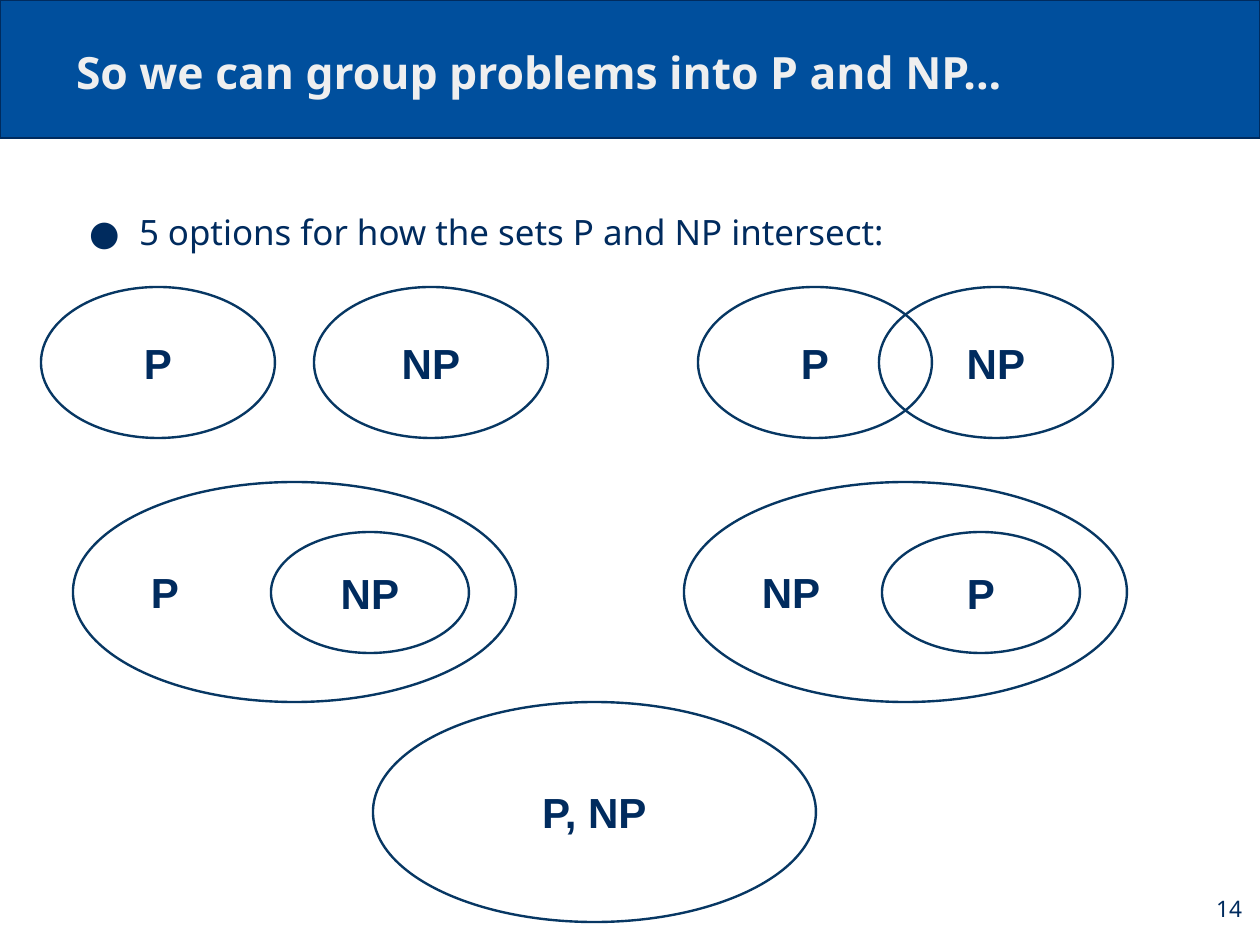
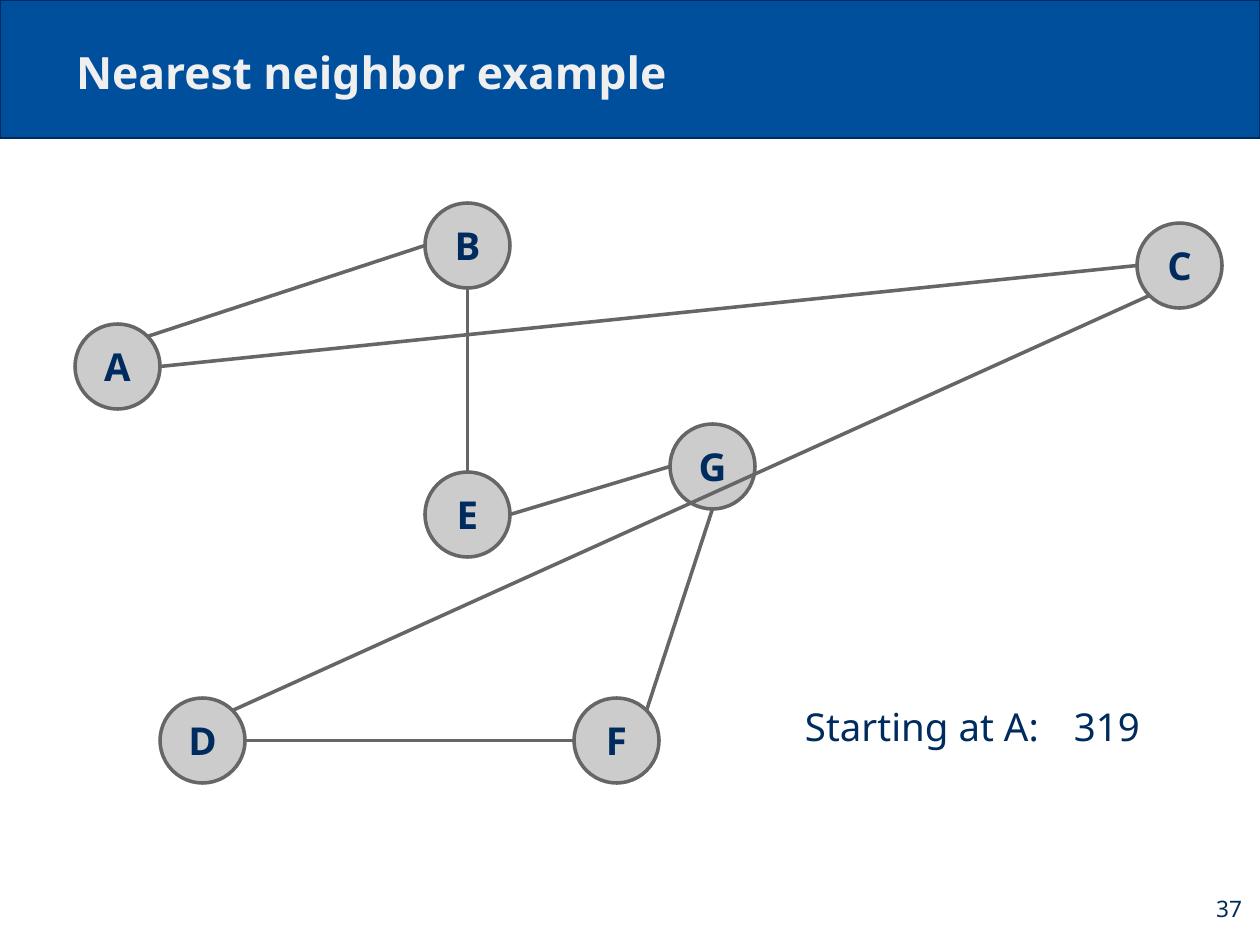
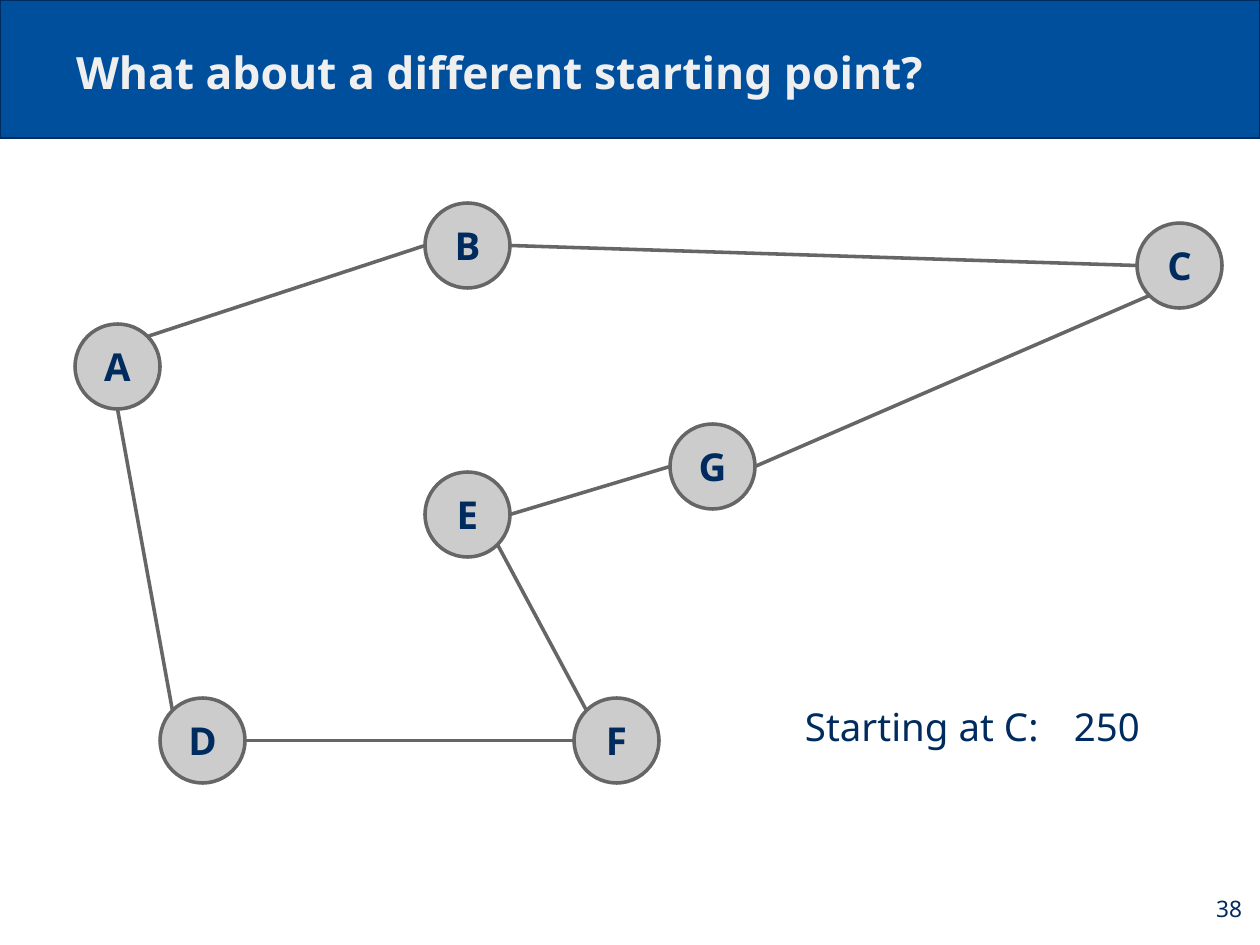
import math

import lxml.etree
import pptx
import pptx.dml.color
import pptx.enum.shapes
import pptx.enum.text
import pptx.oxml.ns
import pptx.util

EMU_PER_PX = 8000
SLIDE_WIDTH, SLIDE_HEIGHT = 1260, 945
INSET = 13

BAND_BLUE = "004F9D"
NAVY = "002B5E"
SET_OUTLINE = "073763"
TITLE_GREY = "EFEFEF"
NODE_FILL = "CCCCCC"
NODE_LINE = "666666"
SANS, SET_FONT = "Noto Sans", "Arial"

ALIGN = pptx.enum.text.PP_ALIGN
ANCHOR = pptx.enum.text.MSO_ANCHOR
SHAPE = pptx.enum.shapes.MSO_SHAPE

TITLE_LAYOUT, BODY_LAYOUT = 5, 1

NODE_SIZE = 85
NODES = {
    "A": (75, 324), "B": (425, 203), "C": (1137, 223), "G": (670, 424),
    "E": (425, 472), "F": (574, 698), "D": (160, 698),
}
COMPASS = ["E", "SE", "S", "SW", "W", "NW", "N", "NE"]

# Each edge: node and side where it starts, node and side where it ends.
TOUR_FROM_A = [
    ("A", "NE", "B", "W"), ("B", "S", "E", "N"), ("E", "E", "G", "W"),
    ("G", "S", "F", "NE"), ("F", "W", "D", "E"), ("D", "NE", "C", "SW"),
    ("C", "W", "A", "E"),
]
TOUR_FROM_C = [
    ("C", "SW", "G", "E"), ("G", "W", "E", "E"), ("E", "SE", "F", "NW"),
    ("F", "W", "D", "E"), ("D", "NW", "A", "S"), ("A", "NE", "B", "W"),
    ("B", "E", "C", "W"),
]


def px(length):
    return pptx.util.Emu(round(length * EMU_PER_PX))


def color(hex_string):
    return pptx.dml.color.RGBColor.from_string(hex_string)


def place(shape, left, top, width, height):
    shape.left, shape.top = px(left), px(top)
    shape.width, shape.height = px(width), px(height)


def set_text(shape, text, size, font=SANS, hex_color=NAVY, bold=False,
             align=ALIGN.LEFT, anchor=ANCHOR.MIDDLE):
    """Write one formatted run and return its paragraph."""
    frame = shape.text_frame
    frame.word_wrap = True
    frame.auto_size = pptx.enum.text.MSO_AUTO_SIZE.NONE
    frame.vertical_anchor = anchor
    frame.margin_left = frame.margin_right = px(INSET)
    frame.margin_top = frame.margin_bottom = px(INSET)
    paragraph = frame.paragraphs[0]
    paragraph.alignment = align
    run = paragraph.add_run()
    run.text = text
    run.font.name = font
    run.font.size = pptx.util.Pt(size)
    run.font.bold = bold
    run.font.color.rgb = color(hex_color)
    return paragraph


def add_text_box(slide, box, text, size, align=ALIGN.LEFT):
    shape = slide.shapes.add_textbox(*map(px, box))
    set_text(shape, text, size, align=align)


def add_outlined_shape(slide, kind, box, line, line_width, fill=None):
    shape = slide.shapes.add_shape(kind, *map(px, box))
    shape.shadow.inherit = False
    if fill:
        shape.fill.solid()
        shape.fill.fore_color.rgb = color(fill)
    else:
        shape.fill.background()
    shape.line.color.rgb = color(line)
    shape.line.width = pptx.util.Pt(line_width)
    return shape


def add_band_to_master(presentation, slide):
    """Draw the title band and move it behind the master's placeholders."""
    band = add_outlined_shape(slide, SHAPE.RECTANGLE, (0, 0, SLIDE_WIDTH, 138),
                              NAVY, 1.5, BAND_BLUE)
    band.element.nvSpPr.cNvPr.set("id", "20")
    presentation.slide_master.element.cSld.spTree.insert(2, band.element)


def add_titled_slide(presentation, layout, title, number):
    slide = presentation.slides.add_slide(presentation.slide_layouts[layout])
    place(slide.shapes.title, 63, 27, 1134, 84)
    set_text(slide.shapes.title, title, 28, hex_color=TITLE_GREY, bold=True,
             anchor=ANCHOR.BOTTOM)
    add_text_box(slide, (1180, 872, 75, 72), number, 14.3, ALIGN.RIGHT)
    return slide


def add_bullet(paragraph, character, hex_color):
    properties = paragraph._p.get_or_add_pPr()
    properties.set("marL", str(px(63)))
    properties.set("indent", str(px(-50)))
    qn = pptx.oxml.ns.qn
    bullet_color = lxml.etree.SubElement(properties, qn("a:buClr"))
    lxml.etree.SubElement(bullet_color, qn("a:srgbClr"), val=hex_color)
    lxml.etree.SubElement(properties, qn("a:buFont"), typeface=SANS)
    lxml.etree.SubElement(properties, qn("a:buChar"), char=character)


def fill_body(slide, text):
    body = slide.placeholders[1]
    place(body, 63, 177, 1134, 89)
    paragraph = set_text(body, text, 22, anchor=ANCHOR.TOP)
    paragraph.line_spacing = 1.5
    paragraph.space_before = pptx.util.Pt(6.6)
    add_bullet(paragraph, "●", NAVY)


def add_set(slide, box, label, align=ALIGN.CENTER):
    ellipse = add_outlined_shape(slide, SHAPE.OVAL, box, SET_OUTLINE, 1.5)
    set_text(ellipse, label, 26.5, SET_FONT, bold=True, align=align)


def add_set_pair(slide, first_left, second_left):
    for left, label in ((first_left, "P"), (second_left, "NP")):
        add_set(slide, (left, 287, 234, 151), label)


def add_nested_sets(slide, left, outer, inner):
    add_set(slide, (left, 482, 443, 220), outer, ALIGN.LEFT)
    add_set(slide, (left + 198, 532, 198, 121), inner)


def add_node(slide, label):
    circle = add_outlined_shape(slide, SHAPE.OVAL,
                                (*NODES[label], NODE_SIZE, NODE_SIZE),
                                NODE_LINE, 2.25, NODE_FILL)
    set_text(circle, label, 24.2, bold=True, align=ALIGN.CENTER)


def rim_point(label, side):
    """Point on a node's outline in the given compass direction."""
    left, top = NODES[label]
    angle = COMPASS.index(side) * math.pi / 4
    radius = NODE_SIZE / 2
    return (px(left + radius * (1 + math.cos(angle))),
            px(top + radius * (1 + math.sin(angle))))


def add_edge(slide, start, start_side, end, end_side):
    edge = slide.shapes.add_connector(
        pptx.enum.shapes.MSO_CONNECTOR.STRAIGHT,
        *rim_point(start, start_side), *rim_point(end, end_side))
    edge.line.color.rgb = color(NODE_LINE)
    edge.line.width = pptx.util.Pt(2.25)
    lxml.etree.SubElement(edge.element.spPr, pptx.oxml.ns.qn("a:effectLst"))


def add_sets_slide(presentation):
    slide = add_titled_slide(presentation, BODY_LAYOUT,
                             "So we can group problems into P and NP...", "14")
    fill_body(slide, "5 options for how the sets P and NP intersect:")
    add_set_pair(slide, 41, 314)
    add_set_pair(slide, 698, 879)
    add_nested_sets(slide, 73, "P", "NP")
    add_nested_sets(slide, 684, "NP", "P")
    add_set(slide, (373, 702, 443, 220), "P, NP")
    return slide


def add_tour_slide(presentation, title, number, tour, length):
    slide = add_titled_slide(presentation, TITLE_LAYOUT, title, number)
    for label in NODES:
        add_node(slide, label)
    start = tour[0][0]
    add_text_box(slide, (792, 690, 269, 72), f"Starting at {start}:", 24.2)
    add_text_box(slide, (1061, 690, 118, 72), length, 24.2)
    for edge in tour:
        add_edge(slide, *edge)


def main():
    presentation = pptx.Presentation()
    presentation.slide_width = px(SLIDE_WIDTH)
    presentation.slide_height = px(SLIDE_HEIGHT)
    sets_slide = add_sets_slide(presentation)
    add_band_to_master(presentation, sets_slide)
    add_tour_slide(presentation, "Nearest neighbor example", "37",
                   TOUR_FROM_A, "319")
    add_tour_slide(presentation, "What about a different starting point?", "38",
                   TOUR_FROM_C, "250")
    presentation.save("out.pptx")


if __name__ == "__main__":
    main()
